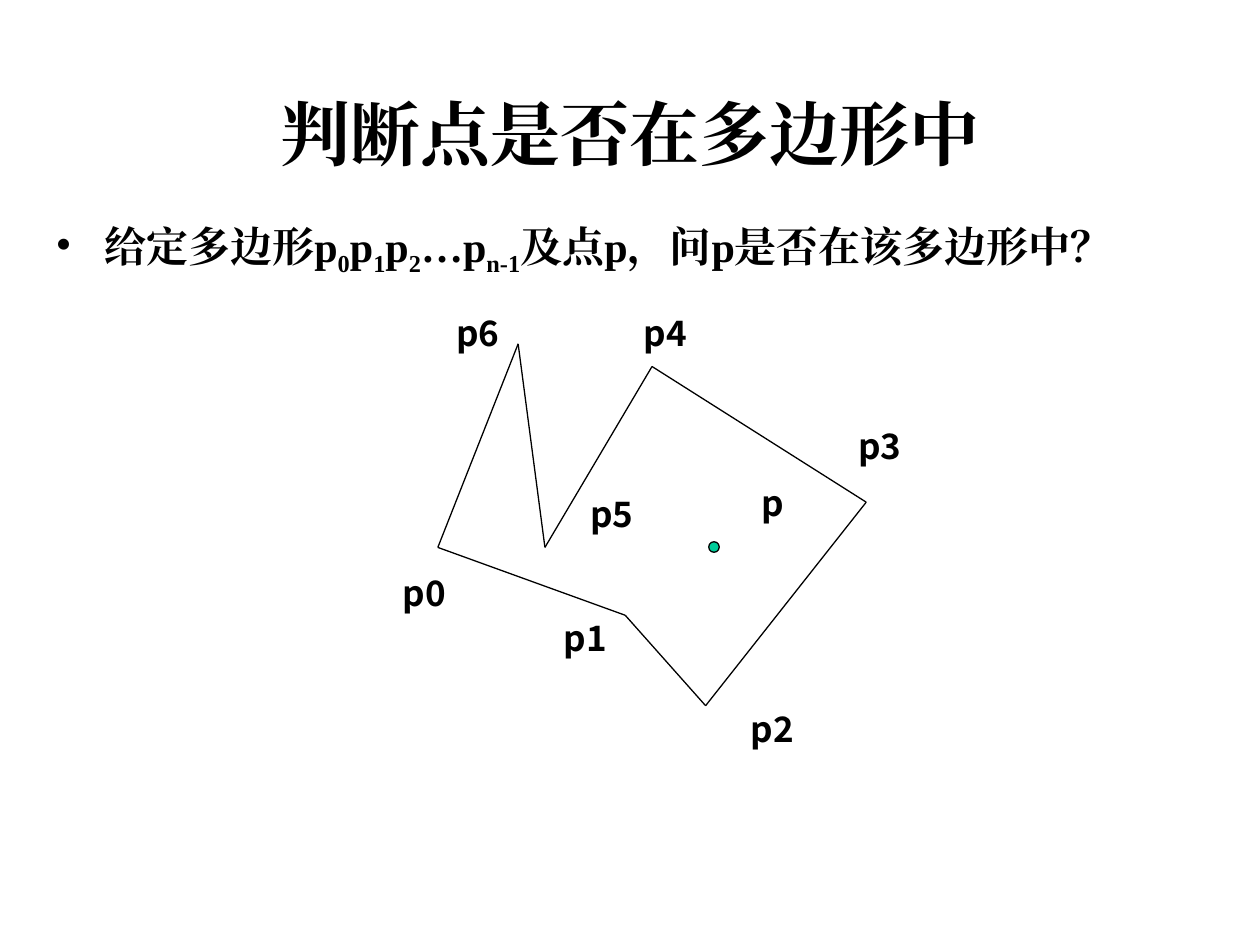
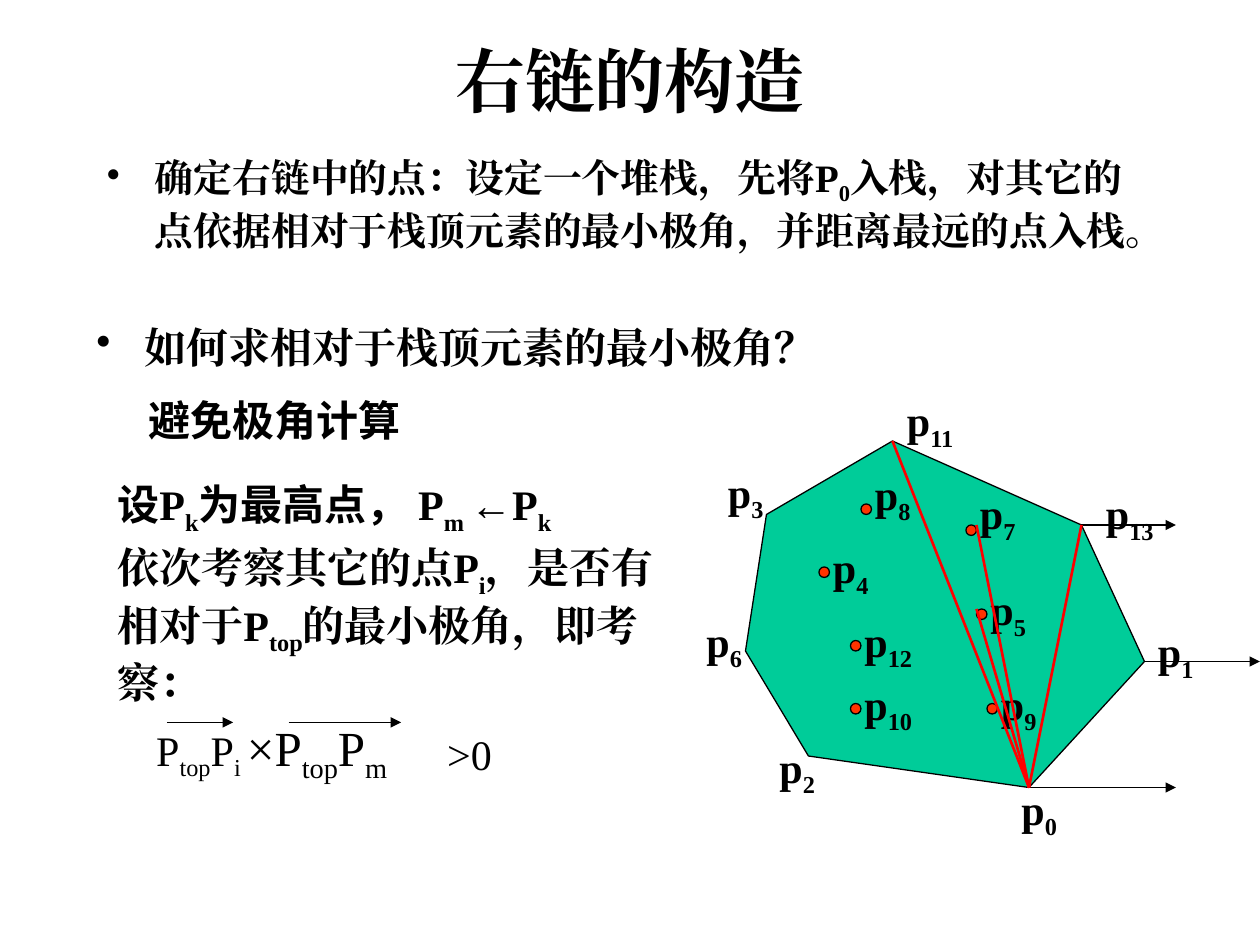
import dataclasses
import itertools

import lxml.etree
import pptx
import pptx.dml.color
import pptx.enum.shapes
import pptx.enum.text
import pptx.oxml.ns
import pptx.util

SERIF = "Times New Roman"
SANS = "Noto Sans CJK SC"
BLACK, GREEN, ORANGE, RED = "000000", "00CC99", "FF3300", "FF0000"
ALIGN = pptx.enum.text.PP_ALIGN
ANCHOR = pptx.enum.text.MSO_ANCHOR
SHAPE = pptx.enum.shapes.MSO_SHAPE
DOT = 1  # dot diameter in page cells


@dataclasses.dataclass
class Grid:
    """A region with its origin and cell size in inches."""
    left: float
    top: float
    col: float
    row: float

    def point(self, col, row):
        return (pptx.util.Inches(self.left + col * self.col),
                pptx.util.Inches(self.top + row * self.row))

    def box(self, col, row, cols, rows):
        return (*self.point(col, row), pptx.util.Inches(cols * self.col),
                pptx.util.Inches(rows * self.row))

    def region(self, col, row):
        return Grid(self.left + col * self.col, self.top + row * self.row,
                    self.col, self.row)


PAGE = Grid(0, 0, 10 / 120, 7.5 / 90)


def color(hex_code):
    return pptx.dml.color.RGBColor.from_string(hex_code)


def add_xml(parent, tag, **attributes):
    return lxml.etree.SubElement(parent, pptx.oxml.ns.qn(tag), attributes)


# Text: stretches between underscores are subscripts
def add_runs(paragraph, marked, font, size, bold):
    for index, stretch in enumerate(marked.split("_")):
        if not stretch:
            continue
        run = paragraph.add_run()
        run.text = stretch
        run.font.size = pptx.util.Pt(size)
        run.font.bold = bold
        run.font.color.rgb = color(BLACK)
        run.font.name = font
        properties = run.font._element
        add_xml(properties, "a:ea", typeface=font)
        if index % 2:
            properties.set("baseline", "-25000")


def add_text(slide, box, *pieces, font=SERIF, size=24, bold=True, align=ALIGN.LEFT,
             anchor=ANCHOR.TOP, inset=(0.1, 0.05), bullet=False, wrap=True, grow=False):
    """Each piece is marked text, or a tuple of marked text, font and size."""
    frame = slide.shapes.add_textbox(*box).text_frame
    frame.word_wrap = wrap
    frame.vertical_anchor = anchor
    frame.margin_left = frame.margin_right = pptx.util.Inches(inset[0])
    frame.margin_top = frame.margin_bottom = pptx.util.Inches(inset[1])
    sizing = pptx.enum.text.MSO_AUTO_SIZE
    frame.auto_size = sizing.SHAPE_TO_FIT_TEXT if grow else sizing.NONE
    paragraph = frame.paragraphs[0]
    paragraph.alignment = align
    if bullet:
        properties = paragraph._p.get_or_add_pPr()
        hang = pptx.util.Inches(0.38)
        properties.set("marL", str(hang))
        properties.set("indent", str(-hang))
        add_xml(add_xml(properties, "a:buClr"), "a:srgbClr", val=BLACK)
        add_xml(properties, "a:buChar", char="•")
    for piece in pieces:
        marked, face, points = (piece, font, size) if isinstance(piece, str) else piece
        add_runs(paragraph, marked, face, points, bold)


def add_title(slide, row, rows, title):
    add_text(slide, PAGE.box(9, row, 102, rows), title, size=40, align=ALIGN.CENTER)


# Lines and filled shapes
def add_line(slide, start, end, stroke=BLACK, width=0.75, arrow=False):
    line = slide.shapes.add_connector(
        pptx.enum.shapes.MSO_CONNECTOR.STRAIGHT, *start, *end)
    line.line.color.rgb = color(stroke)
    line.line.width = pptx.util.Pt(width)
    if arrow:
        add_xml(line.line._get_or_add_ln(), "a:tailEnd", type="triangle")
    add_xml(line._element.spPr, "a:effectLst")


def paint(shape, fill):
    shape.shadow.inherit = False
    shape.fill.solid()
    shape.fill.fore_color.rgb = color(fill)
    shape.line.color.rgb = color(BLACK)
    shape.line.width = pptx.util.Pt(0.75)


def add_dot(slide, grid, col, row, kind, fill):
    paint(slide.shapes.add_shape(kind, *grid.box(col, row, DOT, DOT)), fill)


# Concave polygon with a query point
def draw_polygon(slide, grid):
    corners = [(2, 10), (9, 13), (12, 17), (18, 8), (10, 2), (6, 10), (5, 1)]
    for start, end in itertools.pairwise(corners + corners[:1]):
        add_line(slide, grid.point(*start), grid.point(*end))
    labels = {"p0": (0, 11, 2), "p1": (6, 13, 2), "p2": (13, 17, 2), "p3": (17, 4, 3),
              "p4": (9, 0, 1), "p5": (7, 8, 1), "p6": (2, 0, 1), "p": (13, 7, 2)}
    for label, (col, row, rows) in labels.items():
        add_text(slide, grid.box(col, row, 3, rows), label, font=SANS, size=20,
                 align=ALIGN.CENTER, anchor=ANCHOR.MIDDLE, inset=(0.02, 0))
    add_dot(slide, PAGE, 67.5, 51.6, SHAPE.OVAL, GREEN)


# Convex hull with inner points, candidate edges and polar axes
def draw_hull(slide, grid):
    p11, p13, p1, p0 = (14, 0), (32, 8), (38, 21), (27, 33)
    corners = [p11, (2, 7), (0, 20), (6, 30), p0, p1, p13]
    start, *others = [grid.point(*corner) for corner in corners]
    outline = slide.shapes.build_freeform(*start)
    outline.add_line_segments(others, close=True)
    paint(outline.convert_to_shape(), GREEN)

    # inner points: column, row, rise of the label above the dot
    inner = {"4": (7, 12, 3), "5": (22, 16, 3), "7": (21, 8, 4.15), "8": (11, 6, 4),
             "9": (23, 25, 3), "10": (10, 25, 3), "12": (10, 19, 3)}
    labels = {"0": (25.1, 32), "1": (38.1, 17), "2": (2.05, 28), "3": (-2.85, 1.8),
              "6": (-4.9, 16), "11": (14.2, -5), "13": (33.15, 3.85)}
    labels |= {number: (col + 0.15, row - rise)
               for number, (col, row, rise) in inner.items()}
    for number, (col, row) in labels.items():
        cols = 4.5 + 1.25 * len(number)
        add_text(slide, grid.box(col, row, cols, 6.7), f"p_{number}_",
                 wrap=False, grow=True)
    for col, row, _ in inner.values():
        add_dot(slide, grid, col, row, SHAPE.FLOWCHART_CONNECTOR, ORANGE)

    for (col, row), end_col in ((p0, 41), (p1, 49), (p13, 41)):
        add_line(slide, grid.point(col, row), grid.point(end_col, row), arrow=True)
    for target in (p11, (22, 16), (22, 8), p13):
        add_line(slide, grid.point(*target), grid.point(*p0), RED, 1.5)


# Cross product of two vectors
def draw_cross_product(slide, grid):
    add_text(slide, grid.box(0, 0, 29.8, 7.6), "P_top_P_i _", ("×P_top_P_m_", SERIF, 28),
             bold=False, grow=True)
    for start, end in ((2.2, 8.5), (13.8, 24.5)):
        add_line(slide, grid.point(start, 1.1), grid.point(end, 1.1), arrow=True)
    add_text(slide, grid.box(27.7, 1.1, 10.7, 6), ">0", bold=False, grow=True)


def build_point_in_polygon(slide):
    add_title(slide, 8, 15, "判断点是否在多边形中")
    add_text(slide, PAGE.box(4.2, 20.4, 106.7, 58),
             "给定多边形p_0_p_1_p_2_…p_n-1_及点p，问p是否在该多边形中？", bullet=True)
    draw_polygon(slide, Grid(3.05, 2.55, 4.25 / 20, 3.41 / 19))


def build_right_chain(slide):
    add_title(slide, 3, 9, "右链的构造")
    add_text(slide, PAGE.box(9, 14, 102, 16),
             "确定右链中的点：设定一个堆栈，先将P_0_入栈，对其它的点依据相对于栈顶元素的"
             "最小极角，并距离最远的点入栈。", size=22.2, bullet=True)
    add_text(slide, PAGE.box(8, 30, 106, 6), "如何求相对于栈顶元素的最小极角？", bullet=True)
    add_text(slide, PAGE.box(13, 37, 54, 6), "避免极角计算", font=SANS)
    draw_hull(slide, PAGE.region(71, 42))
    add_text(slide, PAGE.box(10, 45, 51, 6.7), ("设", SANS, 24), "P_k_",
             ("为最高点， ", SANS, 24), "P_m _←P_k_", grow=True)
    add_text(slide, PAGE.box(10, 51, 55, 16.9),
             "依次考察其它的点P_i_，是否有相对于P_top_的最小极角，即考察：", grow=True)
    draw_cross_product(slide, PAGE.region(13.7, 67.7))


def main():
    deck = pptx.Presentation()
    deck.slide_width = pptx.util.Inches(10)
    deck.slide_height = pptx.util.Inches(7.5)
    for build in (build_point_in_polygon, build_right_chain):
        build(deck.slides.add_slide(deck.slide_layouts[6]))
    deck.save("out.pptx")


if __name__ == "__main__":
    main()
